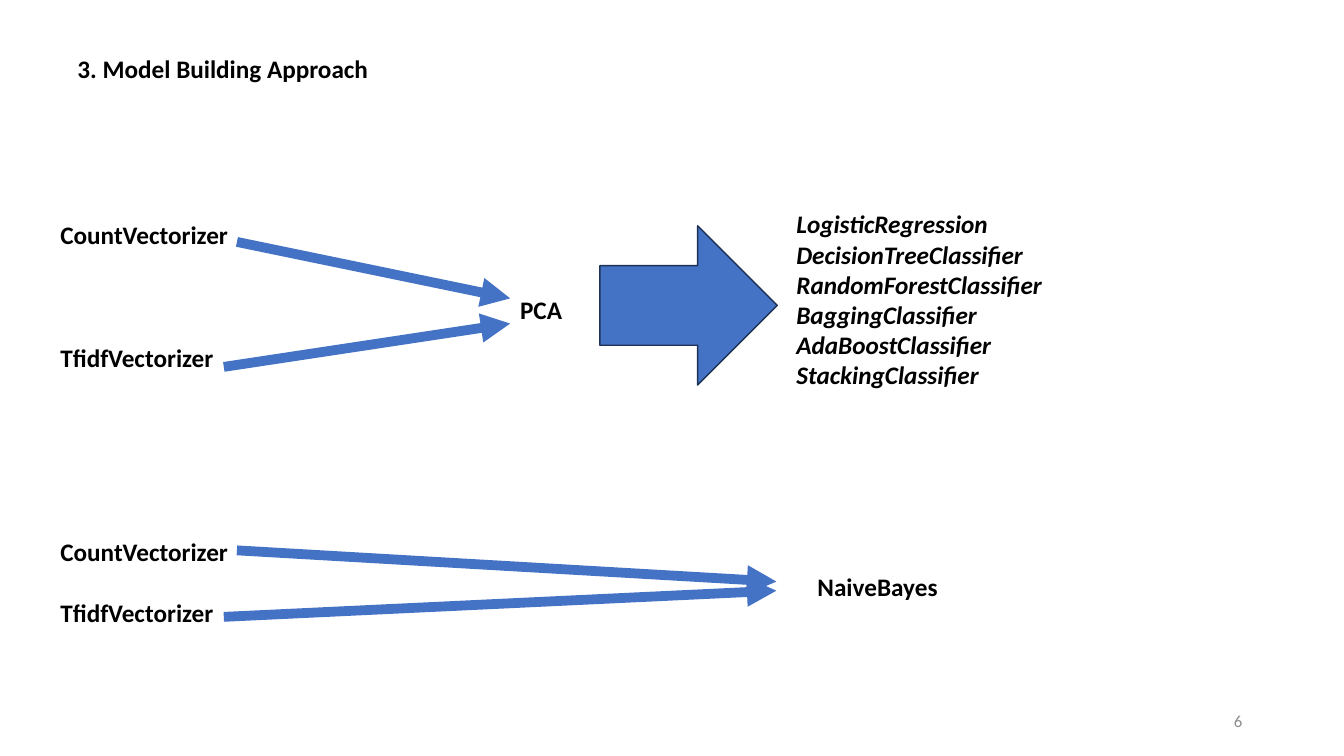
import pptx
import pptx.dml.color
import pptx.enum.shapes
import pptx.enum.text
import pptx.oxml
import pptx.oxml.ns
import pptx.util

PX = 9144  # EMU per px, 100 px to the inch
BLACK, GREY, BLUE, NAVY = "000000", "8C8C8C", "4472C4", "1E3256"


def emu(*lengths):
    return [pptx.util.Emu(n * PX) for n in lengths]


def rgb(value):
    return pptx.dml.color.RGBColor.from_string(value)


class Deck:
    font = "Calibri"

    def __init__(self, width, height):
        self.prs = pptx.Presentation()
        self.prs.slide_width, self.prs.slide_height = emu(width, height)
        self.s = self.prs.slides.add_slide(self.prs.slide_layouts[6])

    def text(self, box, lines, size=18, color=BLACK, bold=True, italic=False,
             wrap=True, grow=True, gap=0, right=False):
        """Add one paragraph per line, with gap points between them."""
        tf = self.s.shapes.add_textbox(*emu(*box)).text_frame
        tf.word_wrap = wrap
        if grow:
            tf.auto_size = pptx.enum.text.MSO_AUTO_SIZE.SHAPE_TO_FIT_TEXT
        else:
            tf.vertical_anchor = pptx.enum.text.MSO_ANCHOR.MIDDLE
        for i, line in enumerate(lines):
            p = tf.add_paragraph() if i else tf.paragraphs[0]
            if i and gap:
                p.space_before = pptx.util.Pt(gap)
            if right:
                p.alignment = pptx.enum.text.PP_ALIGN.RIGHT
            r = p.add_run()
            r.text = line
            r.font.name, r.font.size = self.font, pptx.util.Pt(size)
            r.font.bold, r.font.italic = bold, italic
            r.font.color.rgb = rgb(color)

    def block_arrow(self, box):
        sp = self.s.shapes.add_shape(
            pptx.enum.shapes.MSO_SHAPE.RIGHT_ARROW, *emu(*box))
        sp.shadow.inherit = False
        sp.fill.solid()
        sp.fill.fore_color.rgb = rgb(BLUE)
        sp.line.color.rgb = rgb(NAVY)
        sp.line.width = pptx.util.Pt(1)

    def arrow(self, start, end):
        cx = self.s.shapes.add_connector(
            pptx.enum.shapes.MSO_CONNECTOR.STRAIGHT, *emu(*start, *end))
        cx.line.color.rgb = rgb(BLUE)
        cx.line.width = pptx.util.Pt(7)
        ns = pptx.oxml.ns.nsdecls("a")
        cx.line._get_or_add_ln().append(
            pptx.oxml.parse_xml(f'<a:tailEnd {ns} type="triangle"/>'))
        cx._element.spPr.append(pptx.oxml.parse_xml(f"<a:effectLst {ns}/>"))


def main():
    deck = Deck(1333, 750)
    vectorizers = ["CountVectorizer", "TfidfVectorizer"]

    # Title and page number
    deck.text((67, 48, 939, 40), ["3. Model Building Approach"])
    deck.text((942, 695, 300, 40), ["6"], size=12, color=GREY, bold=False,
              grow=False, right=True)

    # Upper flow: vectorizers, PCA, classifiers
    deck.text((50, 213, 242, 162), vectorizers, gap=66)
    deck.text((506, 287, 62, 40), ["PCA"], wrap=False)
    deck.block_arrow((595, 224, 176, 158))
    deck.text((780, 202, 299, 192),
              ["LogisticRegression", "DecisionTreeClassifier",
               "RandomForestClassifier", "BaggingClassifier",
               "AdaBoostClassifier", "StackingClassifier"], italic=True)

    # Lower flow: vectorizers, NaiveBayes
    deck.text((50, 527, 242, 101), vectorizers, gap=22)
    deck.text((801, 562, 140, 40), ["NaiveBayes"], wrap=False)

    # Arrows out of the vectorizers
    for start, end in [((235, 240), (506, 296)), ((222, 364), (506, 321)),
                       ((235, 546), (770, 577)), ((222, 612), (770, 586))]:
        deck.arrow(start, end)

    deck.prs.save("out.pptx")


if __name__ == "__main__":
    main()
